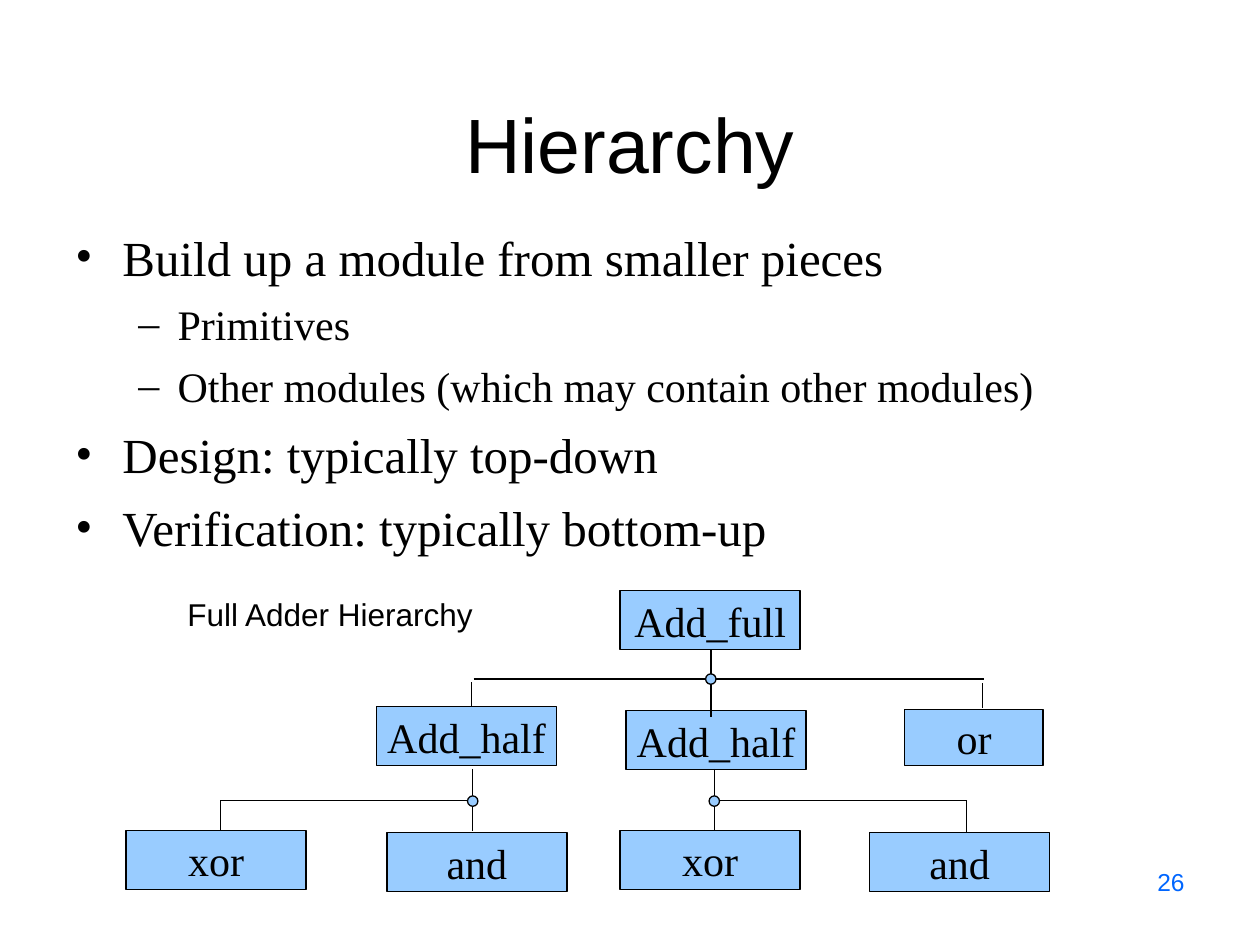
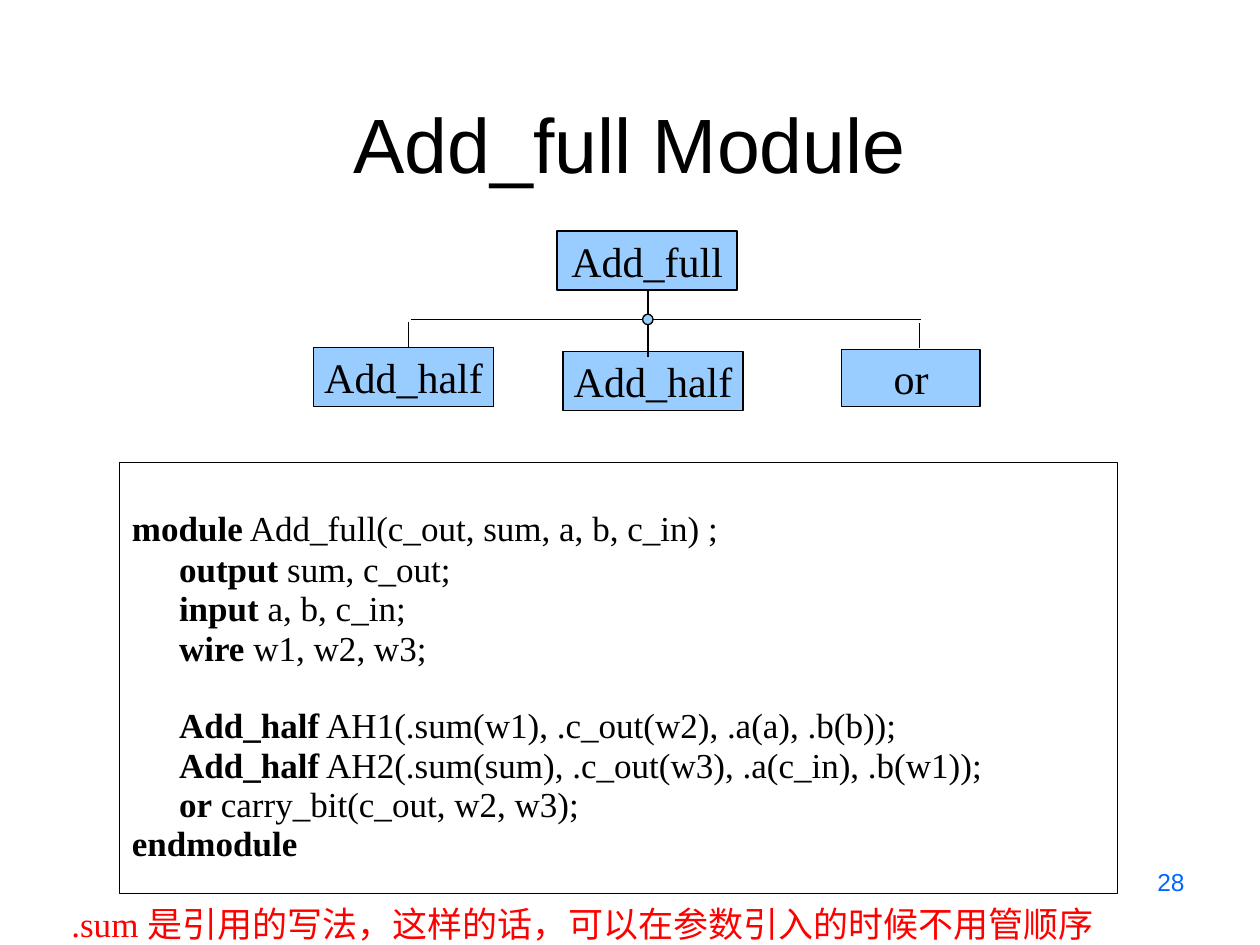
from dataclasses import dataclass
from typing import NamedTuple

from lxml import etree
from pptx import Presentation
from pptx.dml.color import RGBColor
from pptx.enum.shapes import MSO_CONNECTOR, MSO_SHAPE
from pptx.enum.text import MSO_ANCHOR, PP_ALIGN
from pptx.oxml.ns import qn
from pptx.util import Cm, Pt

RECT, OVAL = MSO_SHAPE.RECTANGLE, MSO_SHAPE.OVAL
LINE = MSO_CONNECTOR.STRAIGHT
LEFT, MID, RIGHT = PP_ALIGN.LEFT, PP_ALIGN.CENTER, PP_ALIGN.RIGHT
TOP, CENTER, LOW = MSO_ANCHOR.TOP, MSO_ANCHOR.MIDDLE, MSO_ANCHOR.BOTTOM


@dataclass(frozen=True)
class Theme:
    ink: RGBColor = RGBColor(0, 0, 0)
    node: RGBColor = RGBColor(0x99, 0xCC, 0xFF)
    page: RGBColor = RGBColor(0, 0x66, 0xFF)
    note: RGBColor = RGBColor(0xFF, 0, 0)
    sans: str = "Arial"
    serif: str = "Times New Roman"
    title: int = 44
    point: int = 28
    sub: int = 24
    code: int = 20
    label: int = 18
    foot: int = 14
    rule: float = 0.74
    gap: float = 0.287


class Box(NamedTuple):
    x: float
    y: float
    w: float
    h: float


class Font(NamedTuple):
    name: str
    size: int
    color: RGBColor


class Node(NamedTuple):
    text: str
    x: float
    y: float
    w: float = 3.63
    h: float = 1.19


class Wire(NamedTuple):
    x1: float
    y1: float
    x2: float
    y2: float


class Point(NamedTuple):
    text: str
    level: int = 0


class Code(NamedTuple):
    key: str
    rest: str = ""
    nest: bool = True
    apart: bool = False


T = Theme()
HEAD = Font(T.sans, T.title, T.ink)
FOOT = Font(T.sans, T.foot, T.page)
LABEL = Font(T.sans, T.label, T.ink)
NAME = Font(T.serif, T.sub, T.ink)
NOTE = Font(T.serif, T.code, T.note)
CODE = Font(T.serif, T.code, T.ink)
LEVELS = (
    (Font(T.serif, T.point, T.ink), "\u2022", 0.95, -0.95),
    (Font(T.serif, T.sub, T.ink), "\u2013", 2.06, -0.79),
)

NODES = (
    Node("Add_full", 12.5, 11.91),
    Node("Add_half", 12.62, 14.33),
    Node("or", 18.24, 14.3, 2.79, 1.14),
    Node("Add_half", 7.59, 14.25),
)
WIRES = (
    Wire(14.33, 13.11, 14.33, 14.45),
    Wire(9.5, 14.25, 9.5, 13.74),
    Wire(19.81, 14.27, 19.81, 13.77),
    Wire(9.55, 13.69, 19.84, 13.69),
)
LEAVES = (
    Node("and", 17.53, 16.79),
    Node("xor", 12.5, 16.74),
    Node("and", 7.8, 16.79),
    Node("xor", 2.54, 16.74),
)
POINTS = (
    Point("Build up a module from smaller pieces"),
    Point("Primitives", 1),
    Point("Other modules (which may contain other modules)", 1),
    Point("Design: typically top-down"),
    Point("Verification: typically bottom-up"),
)
CODES = (
    Code("module", " Add_full(c_out, sum, a, b, c_in) ;", False),
    Code("output", " sum, c_out;"),
    Code("input", " a, b, c_in;"),
    Code("wire", " w1, w2, w3;"),
    Code("Add_half", " AH1(.sum(w1), .c_out(w2), .a(a), .b(b));", True, True),
    Code("Add_half", " AH2(.sum(sum), .c_out(w3), .a(c_in), .b(w1));"),
    Code("or", " carry_bit(c_out, w2, w3);"),
    Code("endmodule", "", False),
)


def add_run(para, text: str, font: Font, bold: bool = False) -> None:
    run = para.add_run()
    run.text = text
    run.font.name = font.name
    run.font.size = Pt(font.size)
    run.font.bold = bold
    run.font.color.rgb = font.color


def set_frame(shape, anchor=TOP, wrap: bool = True):
    frame = shape.text_frame
    frame.word_wrap = wrap
    frame.vertical_anchor = anchor
    frame.margin_left = frame.margin_right = Cm(0.25)
    frame.margin_top = frame.margin_bottom = Cm(0.13)
    return frame


def add_text(slide, box: Box, text: str, font: Font, align=LEFT,
             anchor=TOP, wrap: bool = True) -> None:
    shape = slide.shapes.add_textbox(*map(Cm, box))
    para = set_frame(shape, anchor, wrap).paragraphs[0]
    para.alignment = align
    add_run(para, text, font)


def add_form(slide, kind, box: Box, fill: RGBColor | None = T.node):
    shape = slide.shapes.add_shape(kind, *map(Cm, box))
    shape.shadow.inherit = False
    if fill is None:
        shape.fill.background()
    else:
        shape.fill.solid()
        shape.fill.fore_color.rgb = fill
    shape.line.color.rgb = T.ink
    shape.line.width = Pt(T.rule)
    return shape


def add_node(slide, node: Node, dx: float = 0, dy: float = 0) -> None:
    box = Box(node.x + dx, node.y + dy, node.w, node.h)
    shape = add_form(slide, RECT, box)
    para = set_frame(shape, CENTER, False).paragraphs[0]
    para.alignment = MID
    add_run(para, node.text, NAME)


def add_wire(slide, wire: Wire, dx: float = 0, dy: float = 0) -> None:
    line = slide.shapes.add_connector(
        LINE, Cm(wire.x1 + dx), Cm(wire.y1 + dy),
        Cm(wire.x2 + dx), Cm(wire.y2 + dy))
    line.line.color.rgb = T.ink
    line.line.width = Pt(T.rule)
    etree.SubElement(line._element.spPr, qn("a:effectLst"))


def add_dot(slide, x: float, y: float, size: float = 0.21) -> None:
    add_form(slide, OVAL, Box(x - size / 2, y - size / 2, size, size))


def add_tree(slide, dx: float = 0, dy: float = 0) -> None:
    for node in NODES:
        add_node(slide, node, dx, dy)
    for wire in WIRES:
        add_wire(slide, wire, dx, dy)
    add_dot(slide, 14.33 + dx, 13.69 + dy)


def add_branch(slide, x: float, reach: float) -> None:
    bar = 16.13
    add_wire(slide, Wire(x, 15.5, x, 16.76))
    add_wire(slide, Wire(x + reach, 16.99, x + reach, bar))
    add_wire(slide, Wire(x, bar, x + reach, bar))
    add_dot(slide, x, bar + 0.02)


def set_indent(para, left: float, first: float) -> None:
    props = para._p.get_or_add_pPr()
    props.set("marL", str(Cm(left)))
    props.set("indent", str(Cm(first)))


def add_points(slide, box: Box, points: tuple[Point, ...]) -> None:
    frame = set_frame(slide.shapes.add_textbox(*map(Cm, box)))
    for i, point in enumerate(points):
        para = frame.paragraphs[0] if i == 0 else frame.add_paragraph()
        font, mark, left, first = LEVELS[point.level]
        para.level = point.level
        para.space_before = Pt(round(font.size * T.gap, 1) if i else 0)
        set_indent(para, left, first)
        props = para._p.get_or_add_pPr()
        etree.SubElement(props, qn("a:buFont")).set("typeface", font.name)
        etree.SubElement(props, qn("a:buChar")).set("char", mark)
        add_run(para, point.text, font)


def add_code(slide, box: Box, codes: tuple[Code, ...]) -> None:
    frame = set_frame(add_form(slide, RECT, box, None))
    frame.margin_top = Cm(0.9)
    gap, pitch = T.code * T.gap, 21.8
    for i, code in enumerate(codes):
        para = frame.paragraphs[0] if i == 0 else frame.add_paragraph()
        para.alignment = LEFT
        para.line_spacing = 0.7 if i else 1.0
        space = gap + pitch * code.apart if i else 0
        para.space_before = Pt(round(space, 1))
        set_indent(para, 0.95 if code.nest else 0, 0)
        add_run(para, code.key, CODE, True)
        if code.rest:
            add_run(para, code.rest, CODE)


def add_slide(deck, title: str, page: str):
    slide = deck.slides.add_slide(deck.slide_layouts[6])
    add_text(slide, Box(1.27, 0.76, 22.86, 3.18), title, HEAD, MID, LOW)
    add_text(slide, Box(18.2, 17.35, 5.93, 1.32), page, FOOT, RIGHT)
    return slide


def main() -> None:
    deck = Presentation()
    deck.slide_width, deck.slide_height = Cm(25.4), Cm(19.05)

    slide = add_slide(deck, "Hierarchy", "26")
    add_points(slide, Box(1.27, 4.45, 22.86, 13.77), POINTS)
    add_tree(slide)
    add_branch(slide, 14.4, 5.08)
    add_branch(slide, 9.53, -5.08)
    for leaf in LEAVES:
        add_node(slide, leaf)
    add_text(slide, Box(3.53, 11.86, 6.3, 1.02), "Full Adder Hierarchy",
             LABEL, wrap=False)

    slide = add_slide(deck, "Add_full Module", "28")
    add_code(slide, Box(2.41, 9.32, 20.12, 8.69), CODES)
    add_tree(slide, -1.27, -7.25)
    add_text(slide, Box(1.19, 18.06, 25.4, 1.12),
             ".sum 是引用的写法，这样的话，可以在参数引入的时候不用管顺序", NOTE)

    deck.save("out.pptx")


main()
